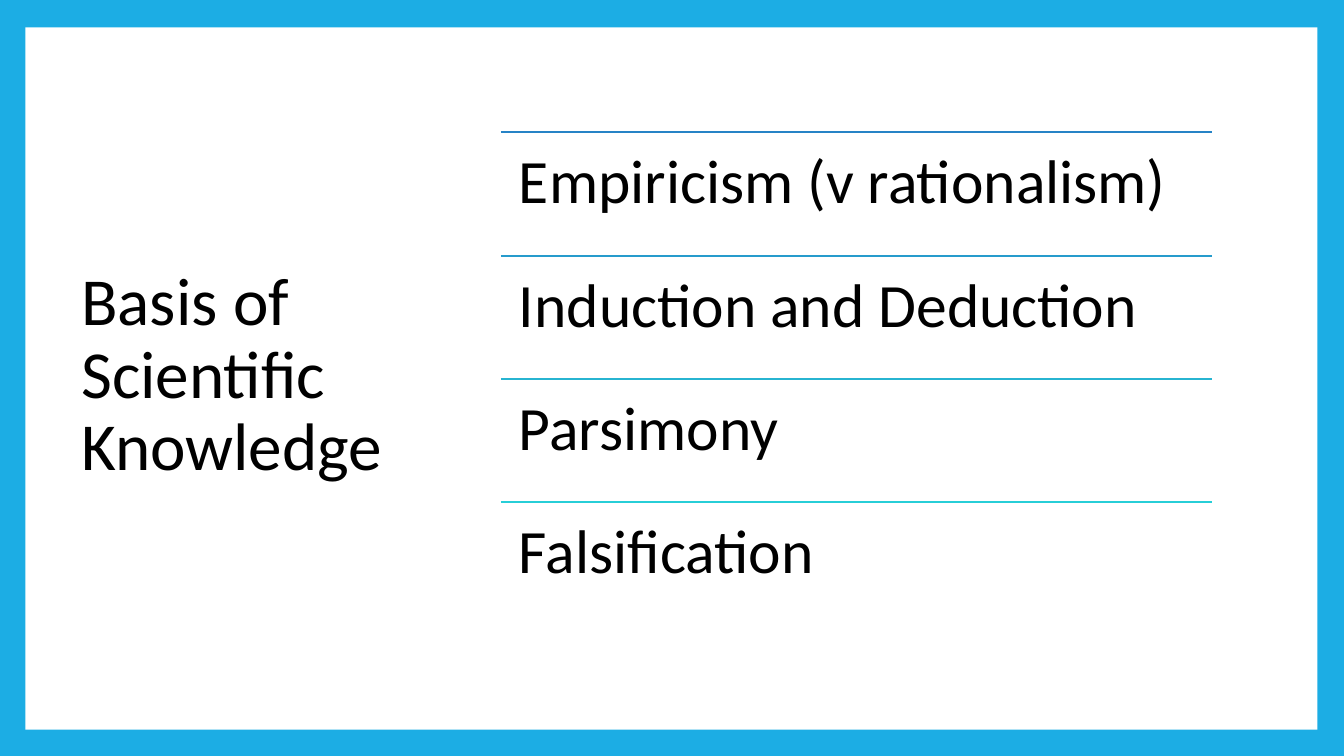
from pptx import Presentation
from pptx.dml.color import RGBColor
from pptx.enum.shapes import MSO_CONNECTOR, MSO_SHAPE
from pptx.enum.text import MSO_ANCHOR, PP_ALIGN
from pptx.oxml.ns import qn
from pptx.util import Cm, Pt
from lxml import etree

# Each principle with the colour of the rule above it
PRINCIPLES = [
    ("Empiricism (v rationalism)", "2683C6"),
    ("Induction and Deduction", "269BCC"),
    ("Parsimony", "27B4D1"),
    ("Falsification", "27CED7"),
]
LIST_LEFT, LIST_TOP, LIST_WIDTH, ROW_HEIGHT = 12.62, 3.33, 17.93, 3.11


def paint(colour_format, colour):
    colour_format.rgb = RGBColor.from_string(colour)


def add_panel(slide, left, top, width, height, colour):
    panel = slide.shapes.add_shape(
        MSO_SHAPE.RECTANGLE, Cm(left), Cm(top), Cm(width), Cm(height))
    panel.shadow.inherit = False
    panel.fill.solid()
    paint(panel.fill.fore_color, colour)
    panel.line.fill.background()


def add_rule(slide, left, top, width, colour):
    rule = slide.shapes.add_connector(
        MSO_CONNECTOR.STRAIGHT, Cm(left), Cm(top), Cm(left + width), Cm(top))
    rule.line.width = Pt(1.5)
    paint(rule.line.color, colour)
    etree.SubElement(rule._element.spPr, qn("a:effectLst"))


def add_text(slide, left, top, width, height, wording, size, frame_format):
    frame = slide.shapes.add_textbox(
        Cm(left), Cm(top), Cm(width), Cm(height)).text_frame
    frame.word_wrap = True
    for attribute, value in frame_format.items():
        setattr(frame, attribute, value)

    paragraph = frame.paragraphs[0]
    paragraph.text = wording
    paragraph.alignment = PP_ALIGN.LEFT
    paragraph.line_spacing = 0.9
    font = paragraph.runs[0].font
    for attribute, value in {"name": "Calibri", "size": Pt(size)}.items():
        setattr(font, attribute, value)
    paint(font.color, "000000")


def main():
    presentation = Presentation()
    presentation.slide_width = Cm(33.87)
    presentation.slide_height = Cm(19.05)
    slide = presentation.slides.add_slide(presentation.slide_layouts[6])

    # Blue border around a white panel
    slide.background.fill.solid()
    paint(slide.background.fill.fore_color, "1CADE4")
    add_panel(slide, 0.64, 0.69, 32.56, 17.7, "FFFFFF")

    # Title
    add_text(slide, 1.8, 1.7, 9.35, 15.57, "Basis of Scientific Knowledge", 48,
             {"vertical_anchor": MSO_ANCHOR.MIDDLE})

    # Ruled list of principles
    margins = ("margin_left", "margin_top", "margin_right", "margin_bottom")
    row_format = {"vertical_anchor": MSO_ANCHOR.TOP,
                  **dict.fromkeys(margins, Cm(0.46))}
    for row, (principle, colour) in enumerate(PRINCIPLES):
        top = LIST_TOP + row * ROW_HEIGHT
        add_rule(slide, LIST_LEFT, top, LIST_WIDTH, colour)
        add_text(slide, LIST_LEFT, top, LIST_WIDTH, ROW_HEIGHT, principle, 44,
                 row_format)

    presentation.save("out.pptx")


if __name__ == "__main__":
    main()
